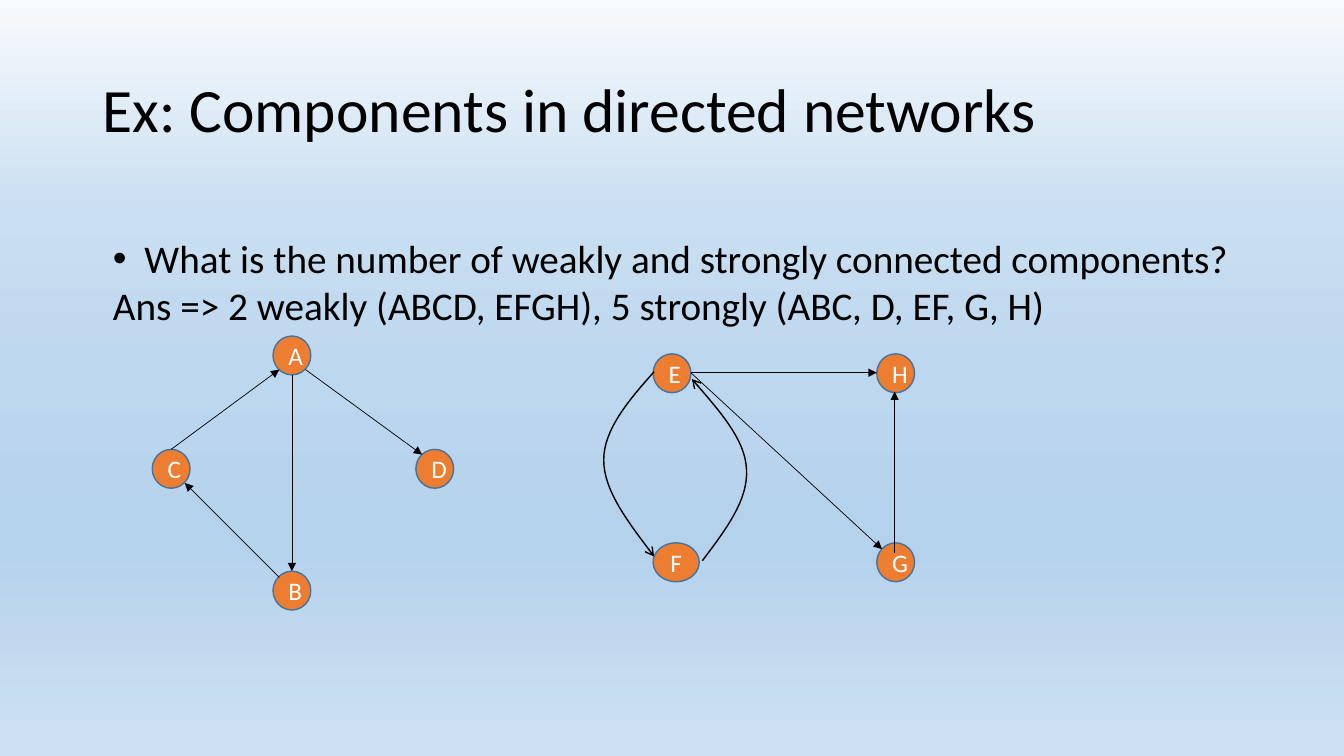
from lxml.etree import SubElement
from pptx import Presentation
from pptx.dml.color import RGBColor as RGB
from pptx.enum.dml import MSO_THEME_COLOR
from pptx.enum.shapes import MSO_CONNECTOR as CONN, MSO_SHAPE as SHAPE
from pptx.enum.text import MSO_ANCHOR as ANCHOR, MSO_AUTO_SIZE as AUTO, PP_ALIGN as ALIGN
from pptx.oxml.ns import qn
from pptx.util import Pt

PX = 9525
COLORS = {"text": "000000", "node": "ED7D31", "rim": "43739E", "label": "FFFFFF"}
BACKDROP = {0: "F7FAFD", 28: "CADFF1", 49: "BDD7EE", 71: "B5D2EC", 72: "B5D2EC", 100: "CEE1F2"}


def style_runs(p, size, color):
    for r in p.runs:
        r.font.name = "Calibri"
        r.font.size = Pt(size)
        r.font.color.rgb = RGB.from_string(COLORS[color])


def style_arrow(sp, width, head):
    sp.line.color.rgb = RGB.from_string(COLORS["text"])
    sp.line.width = Pt(width)
    SubElement(sp.line._get_or_add_ln(), qn("a:tailEnd"), type=head)


prs = Presentation()
prs.slide_width, prs.slide_height = 1280 * PX, 720 * PX
s = prs.slides.add_slide(prs.slide_layouts[1])

fill = s.background.fill
fill.gradient()
fill.gradient_angle = 270
stops = s._element.find(".//" + qn("a:gsLst"))
for stop in list(stops):
    stops.remove(stop)
for percent, color in BACKDROP.items():
    stop = SubElement(stops, qn("a:gs"), pos=str(percent * 1000))
    SubElement(stop, qn("a:srgbClr"), val=color)

title = s.shapes.title
title.left, title.top, title.width, title.height = 88 * PX, 38 * PX, 1104 * PX, 139 * PX
tf = title.text_frame
tf.text = "Ex: Components in directed networks"
tf.auto_size = AUTO.NONE
tf.vertical_anchor = ANCHOR.MIDDLE
p = tf.paragraphs[0]
p.alignment = ALIGN.LEFT
p.line_spacing = 0.9
style_runs(p, 44, "text")

body = s.placeholders[1]
body.left, body.top, body.width, body.height = 50 * PX, 218 * PX, 1180 * PX, 100 * PX
tf = body.text_frame
tf.text = (
    "What is the number of weakly and strongly connected components?\n"
    "Ans => 2 weakly (ABCD, EFGH), 5 strongly (ABC, D, EF, G, H)"
)
tf.auto_size = AUTO.SHAPE_TO_FIT_TEXT
for p, margin, indent, bullet in zip(tf.paragraphs, (78, 48), (-30, 0), ("•", None)):
    pPr = p._p.get_or_add_pPr()
    pPr.set("marL", str(margin * PX))
    pPr.set("indent", str(indent * PX))
    if bullet:
        SubElement(pPr, qn("a:buFont"), typeface="Arial")
        SubElement(pPr, qn("a:buChar"), char=bullet)
    else:
        SubElement(pPr, qn("a:buNone"))
    p.space_before = Pt(0)
    style_runs(p, 28, "text")

nodes = [
    ("A", 260, 320, 36), ("C", 145, 428, 36), ("B", 260, 544, 36), ("D", 396, 428, 36),
    ("E", 622, 337, 36), ("F", 622, 517, 44), ("H", 835, 337, 36), ("G", 835, 517, 36),
]
for name, x, y, width in nodes:
    sp = s.shapes.add_shape(SHAPE.OVAL, x * PX, y * PX, width * PX, 37 * PX)
    sp.shadow.inherit = False
    sp.fill.solid()
    sp.fill.fore_color.rgb = RGB.from_string(COLORS["node"])
    sp.line.color.rgb = RGB.from_string(COLORS["rim"])
    sp.line.width = Pt(1)
    tf = sp.text_frame
    tf.text = name
    tf.vertical_anchor = ANCHOR.MIDDLE
    p = tf.paragraphs[0]
    p.alignment = ALIGN.CENTER
    style_runs(p, 18, "label")

edges = [
    (163, 428, 266, 352), (278, 357, 278, 544), (266, 550, 176, 460), (291, 352, 402, 433),
    (658, 355, 835, 355), (658, 355, 840, 523), (852, 527, 852, 373),
]
for edge in edges:
    sp = s.shapes.add_connector(CONN.STRAIGHT, *(v * PX for v in edge))
    style_arrow(sp, 0.5, "triangle")
    SubElement(sp._element.spPr, qn("a:effectLst"))

curves = [
    [(623, 354), (599, 381), (575, 409), (575, 438), (575, 468), (599, 498), (623, 530)],
    [(669, 534), (691, 505), (713, 476), (711, 447), (710, 418), (684, 390), (659, 361)],
]
STEPS = 16
for curve in curves:
    points = []
    for first in (0, 3):
        for step in range(1, STEPS + 1):
            t = step / STEPS
            weights = ((1 - t) ** 3, 3 * t * (1 - t) ** 2, 3 * t * t * (1 - t), t ** 3)
            controls = curve[first:first + 4]
            points.append(tuple(
                PX * sum(w * c[axis] for w, c in zip(weights, controls)) for axis in (0, 1)
            ))
    builder = s.shapes.build_freeform(curve[0][0] * PX, curve[0][1] * PX)
    builder.add_line_segments(points, close=False)
    sp = builder.convert_to_shape()
    sp.shadow.inherit = False
    sp.fill.background()
    style_arrow(sp, 1, "arrow")

prs.save("out.pptx")
